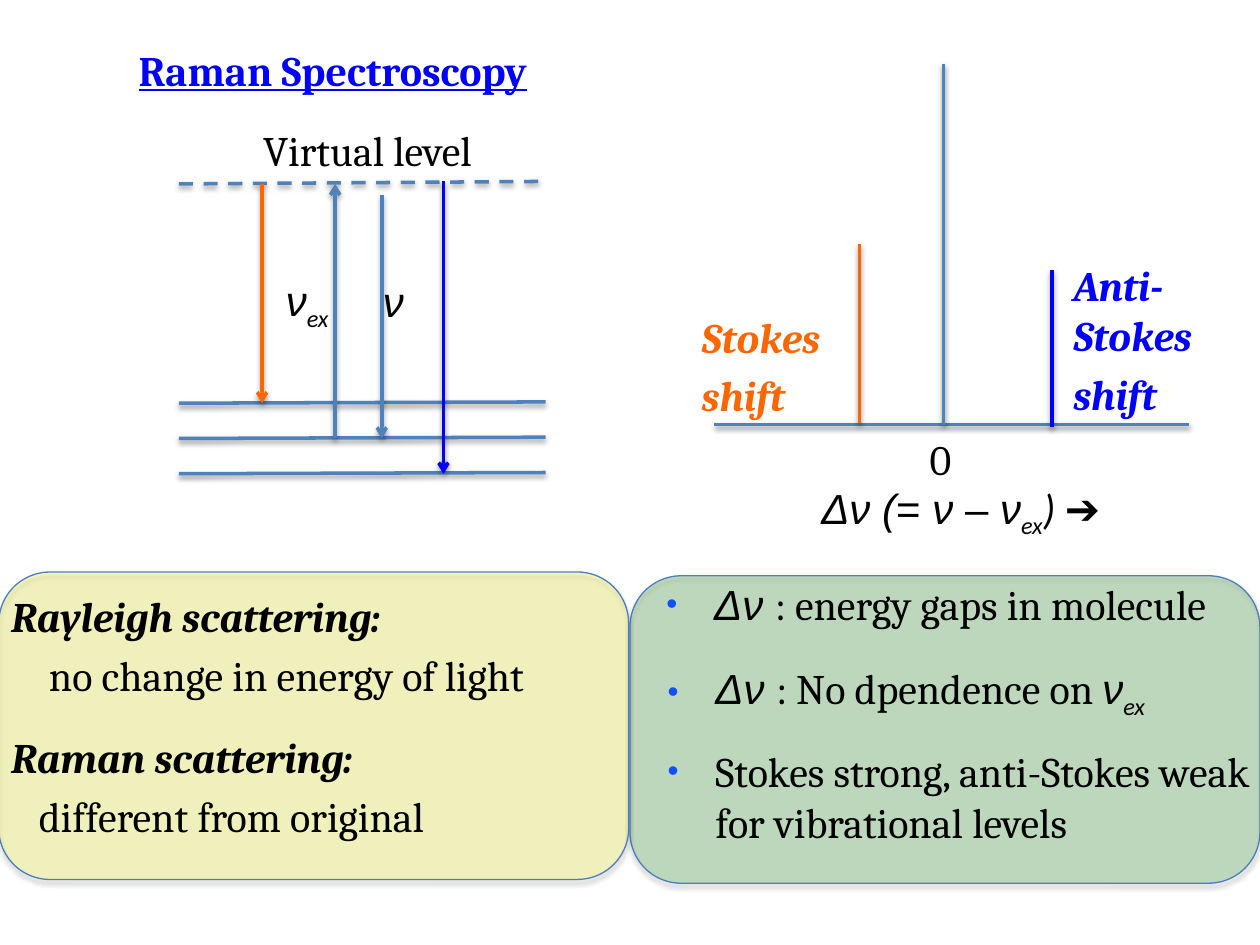
from dataclasses import dataclass
from typing import NamedTuple, Optional

from lxml.etree import SubElement
from pptx import Presentation
from pptx.dml.color import RGBColor
from pptx.enum.dml import MSO_LINE
from pptx.enum.shapes import MSO_CONNECTOR, MSO_SHAPE
from pptx.enum.text import MSO_ANCHOR, PP_ALIGN
from pptx.oxml.ns import qn
from pptx.util import Inches, Pt

COLUMNS, ROWS = 100, 75
WIDTH, HEIGHT = Inches(10), Inches(7.5)
BLACK, BLUE, ORANGE, STEEL = "000000", "0000FF", "FF6600", "4F81BD"
PANEL_EDGE, BULLET_BLUE = "4B7EBC", "114FFB"
SERIF, SYMBOL, INDEX, ARROW = "Cambria", "Arial", "Calibri", "Roboto Condensed"
HANGING = 0.38


class Box(NamedTuple):
    column: float
    row: float
    columns: float
    rows: float


class Run(NamedTuple):
    text: str
    font: str = SERIF
    italic: Optional[bool] = None
    subscript: bool = False


@dataclass
class Line:
    start: tuple
    end: tuple
    color: str = STEEL
    arrow: bool = False
    dashed: bool = False


@dataclass
class Paragraph:
    runs: list
    color: str = BLACK
    strong: bool = False
    indent: float = 0
    bullet: bool = False
    before: float = 4.8


@dataclass
class Label:
    box: Box
    paragraphs: list


def across(column: float) -> int:
    return round(WIDTH * column / COLUMNS)


def down(row: float) -> int:
    return round(HEIGHT * row / ROWS)


def place(box: Box) -> tuple:
    return across(box.column), down(box.row), across(box.columns), down(box.rows)


def rgb(color: str) -> RGBColor:
    return RGBColor.from_string(color)


def add_shadow(effects, distance: float, opacity: int) -> None:
    shadow = SubElement(effects, qn("a:outerShdw"), blurRad=str(Pt(3.1)),
                        dist=str(Pt(distance)), dir="5400000", rotWithShape="0")
    tone = SubElement(shadow, qn("a:srgbClr"), val=BLACK)
    SubElement(tone, qn("a:alpha"), val=str(opacity * 1000))


def draw_panel(slide, box: Box, color: str) -> None:
    panel = slide.shapes.add_shape(MSO_SHAPE.ROUNDED_RECTANGLE, *place(box))
    panel.fill.solid()
    panel.fill.fore_color.rgb = rgb(color)
    tint = panel.element.spPr.find(qn("a:solidFill")).find(qn("a:srgbClr"))
    SubElement(tint, qn("a:alpha"), val="20000")
    panel.line.color.rgb = rgb(PANEL_EDGE)
    panel.line.width = Pt(0.75)
    panel.shadow.inherit = False
    add_shadow(panel.element.spPr.find(qn("a:effectLst")), 1.8, 35)


def draw_line(slide, line: Line) -> None:
    (x1, y1), (x2, y2) = line.start, line.end
    connector = slide.shapes.add_connector(
        MSO_CONNECTOR.STRAIGHT, across(x1), down(y1), across(x2), down(y2))
    connector.line.color.rgb = rgb(line.color)
    connector.line.width = Pt(2)
    if line.dashed:
        connector.line.dash_style = MSO_LINE.DASH
    properties = connector.element.spPr
    if line.arrow:
        SubElement(properties.find(qn("a:ln")), qn("a:tailEnd"), type="arrow")
    add_shadow(SubElement(properties, qn("a:effectLst")), 1.6, 38)


def add_bullet(properties) -> None:
    SubElement(SubElement(properties, qn("a:buClr")), qn("a:srgbClr"), val=BULLET_BLUE)
    SubElement(properties, qn("a:buSzPct"), val="75000")
    SubElement(properties, qn("a:buFont"), typeface=SYMBOL)
    SubElement(properties, qn("a:buChar"), char="•")


def write_paragraph(paragraph, content: Paragraph) -> None:
    paragraph.alignment = PP_ALIGN.LEFT
    paragraph.space_before = Pt(content.before)
    properties = paragraph._p.get_or_add_pPr()
    properties.set("marL", str(Inches(content.indent)))
    if content.bullet:
        properties.set("indent", str(-Inches(content.indent)))
        add_bullet(properties)
    font = paragraph.font
    font.size = Pt(24)
    font.color.rgb = rgb(content.color)
    font.bold = font.italic = content.strong
    fonts = {part.font for part in content.runs}
    if len(fonts) == 1:
        font.name = fonts.pop()
    for part in content.runs:
        run = paragraph.add_run()
        run.text = part.text
        if font.name is None:
            run.font.name = part.font
        if part.italic is not None:
            run.font.italic = part.italic
        if part.subscript:
            run.font._element.set("baseline", "-25000")


def draw_label(slide, label: Label) -> None:
    frame = slide.shapes.add_textbox(*place(label.box)).text_frame
    frame.word_wrap = True
    for index, content in enumerate(label.paragraphs):
        paragraph = frame.add_paragraph() if index else frame.paragraphs[0]
        write_paragraph(paragraph, content)


def write_title(slide, text: str, box: Box) -> None:
    title = slide.shapes.title
    title.left, title.top, title.width, title.height = place(box)
    title.text_frame.vertical_anchor = MSO_ANCHOR.MIDDLE
    paragraph = title.text_frame.paragraphs[0]
    write_paragraph(paragraph, Paragraph([Run(text)], BLUE, before=0))
    paragraph.font.bold = paragraph.font.underline = True


def plain(text: str, **options) -> Paragraph:
    return Paragraph([Run(text)], **options)


def bullet(*runs: Run) -> Paragraph:
    return Paragraph(list(runs), indent=HANGING, bullet=True)


NU = Run("ν", SYMBOL, True)
EX = Run("ex", INDEX, True, True)
DELTA_NU = Run("Δν ", SYMBOL, True)

PANELS = [(Box(50, 45.7, 50, 24.4), "008000"), (Box(-0.1, 45.4, 50, 24.4), "FFFF00")]

VIRTUAL, BASELINE = 14.6, 33.7
LEVELS = [32 + 2.8 * step for step in range(3)]
LOWER, MIDDLE, BOTTOM = LEVELS
LINES = [Line((14.2, row), (43.3, row - 0.1)) for row in LEVELS] + [
    Line((14.2, VIRTUAL), (43.3, 14.4), dashed=True),
    Line((26.6, MIDDLE), (26.6, VIRTUAL), arrow=True),
    Line((30.3, 15.5), (30.3, MIDDLE), arrow=True),
    Line((35.2, 14.4), (35.2, BOTTOM), BLUE, arrow=True),
    Line((20.8, VIRTUAL), (20.8, LOWER), ORANGE, arrow=True),
    Line((56.7, BASELINE), (94.4, BASELINE)),
    Line((74.9, BASELINE), (74.9, 5.1)),
    Line((83.5, 33.9), (83.5, 21.4), BLUE),
    Line((68.2, 33.6), (68.2, 19.4), ORANGE),
]

LABELS = [
    Label(Box(19.9, 9.4, 20.7, 5), [plain("Virtual level")]),
    Label(Box(21.7, 21.3, 6.3, 5), [Paragraph([NU, EX], before=0)]),
    Label(Box(29.4, 21.4, 4.4, 5), [Paragraph([NU], before=0)]),
    Label(Box(54.7, 24.2, 13.5, 6.3),
          [plain(word, color=ORANGE, strong=True) for word in ("Stokes", "shift")]),
    Label(Box(84.2, 20.1, 16, 6.3),
          [plain(word, color=BLUE, strong=True) for word in ("Anti-Stokes", "shift")]),
    Label(Box(72.8, 33.9, 4.7, 6.7), [plain("0")]),
    Label(Box(64.2, 37.8, 31.8, 5), [Paragraph([
        Run("Δν (", SYMBOL, True), Run("= ", SYMBOL), Run("ν ", SYMBOL, True),
        Run("– ", SYMBOL), NU, EX, Run(") ", INDEX, True), Run("➔", ARROW)])]),
    Label(Box(-0.1, 46.4, 50, 9.9), [
        plain("Rayleigh scattering:", strong=True),
        plain("no change in energy of light", indent=0.3)]),
    Label(Box(-0.1, 57.6, 42.9, 12.2), [
        plain("Raman scattering:", strong=True),
        plain("different from original", indent=0.22)]),
    Label(Box(51.9, 45.4, 47.8, 5), [bullet(DELTA_NU, Run(": energy gaps in molecule"))]),
    Label(Box(52, 52.1, 43.4, 5), [bullet(DELTA_NU, Run(": No dpendence on "), NU, EX)]),
    Label(Box(52, 58.7, 51.9, 9.1),
          [bullet(Run("Stokes strong, anti-Stokes weak for vibrational levels"))]),
]


def main() -> None:
    deck = Presentation()
    deck.slide_width, deck.slide_height = WIDTH, HEIGHT
    slide = deck.slides.add_slide(deck.slide_layouts[5])
    write_title(slide, "Raman Spectroscopy", Box(10, 0, 41.5, 11))
    for box, color in PANELS:
        draw_panel(slide, box, color)
    for line in LINES:
        draw_line(slide, line)
    for label in LABELS:
        draw_label(slide, label)
    deck.save("out.pptx")


if __name__ == "__main__":
    main()
